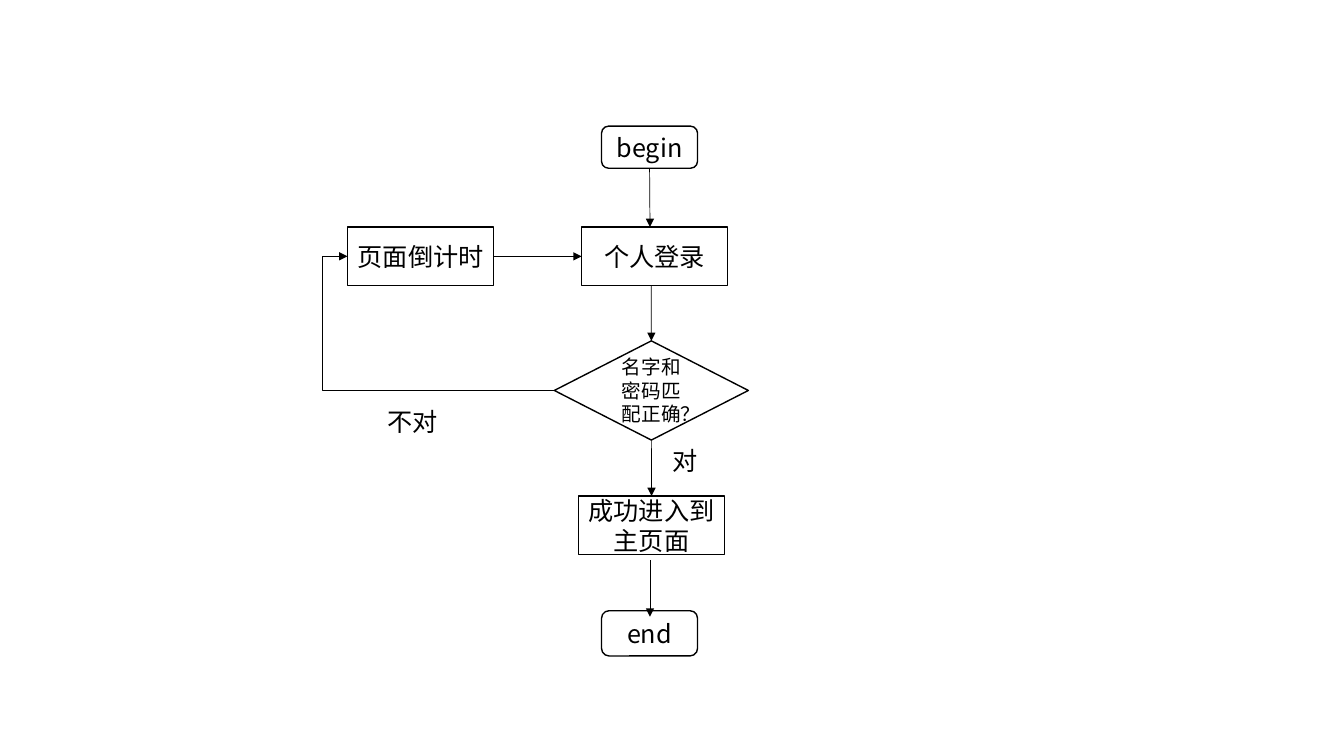
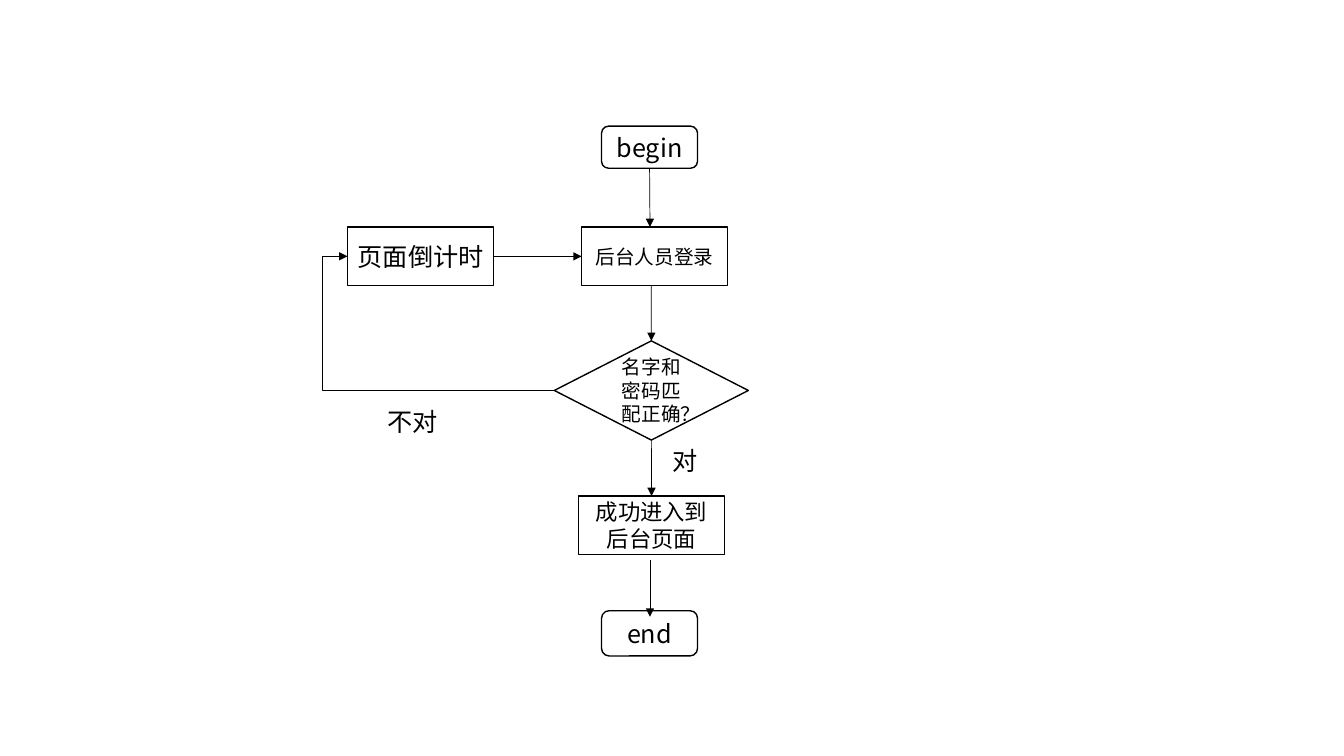
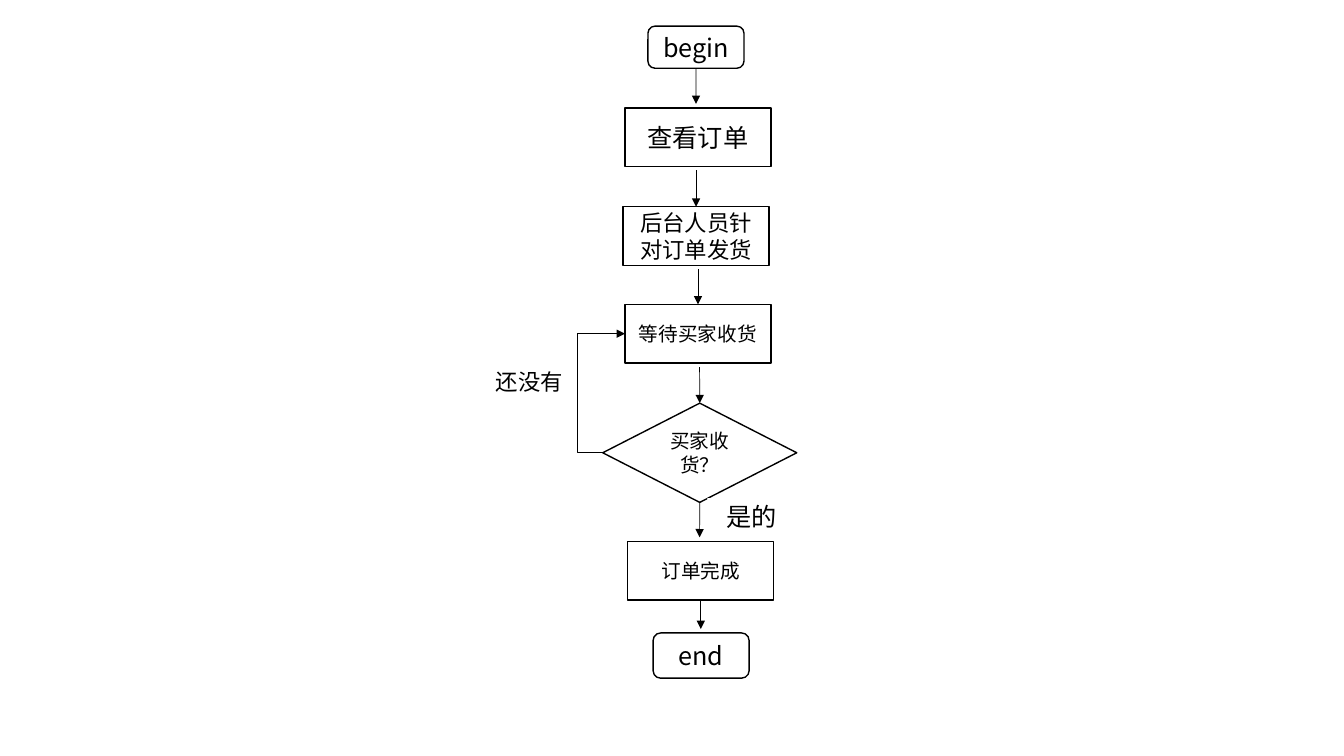
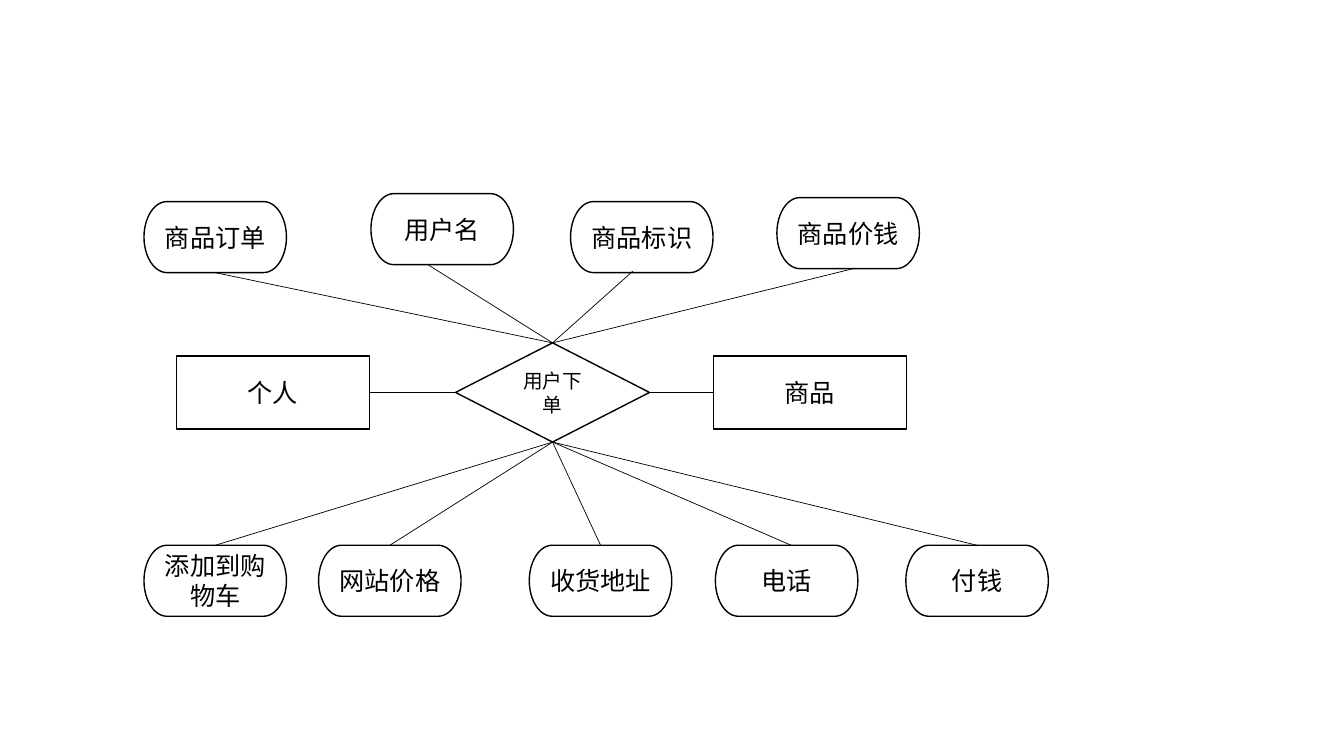
"""Build three flowcharts and one entity-relationship diagram of a web shop."""
from dataclasses import dataclass

from lxml import etree
from pptx import Presentation
from pptx.dml.color import RGBColor
from pptx.enum.shapes import MSO_CONNECTOR, MSO_SHAPE
from pptx.enum.text import MSO_ANCHOR, PP_ALIGN
from pptx.oxml.ns import qn
from pptx.util import Cm, Pt

CENTER, MIDDLE = PP_ALIGN.CENTER, MSO_ANCHOR.MIDDLE
STRAIGHT, ELBOW = MSO_CONNECTOR.STRAIGHT, MSO_CONNECTOR.ELBOW
RECTANGLE, ROUNDED = MSO_SHAPE.RECTANGLE, MSO_SHAPE.ROUNDED_RECTANGLE
DECISION, TERMINATOR = MSO_SHAPE.FLOWCHART_DECISION, MSO_SHAPE.FLOWCHART_TERMINATOR
TOP, LEFT, BOTTOM, RIGHT = range(4)


@dataclass(frozen=True)
class Theme:
    ink: RGBColor = RGBColor(0, 0, 0)
    paper: RGBColor = RGBColor(255, 255, 255)
    font: str = "Noto Sans CJK SC"
    large: int = 18
    medium: int = 16
    small: int = 14
    outline: float = 1
    link: float = 0.5


theme = Theme()
FRAME_FORMAT = {"word_wrap": True, "vertical_anchor": MIDDLE}
KINDS = {
    "begin": (ROUNDED, 2.42, 1.06),
    "end": (ROUNDED, 2.42, 1.14),
    "step": (RECTANGLE, 3.68, 1.48),
    "decision": (DECISION, 4.89, 2.5),
    "entity": (RECTANGLE, 4.86, 1.84),
    "attribute": (TERMINATOR, 3.59, 1.79),
    "label": (RECTANGLE, 2.24, 0.94),
    "short label": (RECTANGLE, 0.9, 0.56),
}


def add_node(slide, kind, text, left, top, size=theme.large):
    outline, width, height = KINDS[kind]
    node = slide.shapes.add_shape(outline, Cm(left), Cm(top), Cm(width), Cm(height))
    node.shadow.inherit = False
    node.fill.solid()
    node.fill.fore_color.rgb = theme.paper
    if "label" in kind:
        node.line.fill.background()
    else:
        node.line.color.rgb = theme.ink
        node.line.width = Pt(theme.outline)
    for name, value in FRAME_FORMAT.items():
        setattr(node.text_frame, name, value)
    paragraph = node.text_frame.paragraphs[0]
    paragraph.alignment = CENTER
    run = paragraph.add_run()
    run.text = text
    for name, value in {"name": theme.font, "size": Pt(size)}.items():
        setattr(run.font, name, value)
    run.font.color.rgb = theme.ink
    etree.SubElement(run.font._element, qn("a:ea"), typeface=theme.font)
    return node


def add_link(slide, nodes, start, end, arrow=True, bend=None):
    """Join two ends, each a (node name, side) pair or an (x, y) point."""
    free = [(0, 0) if isinstance(stop[0], str) else stop for stop in (start, end)]
    (x1, y1), (x2, y2) = free
    link = slide.shapes.add_connector(
        ELBOW if bend else STRAIGHT, Cm(x1), Cm(y1), Cm(x2), Cm(y2))
    for stop, join in ((start, link.begin_connect), (end, link.end_connect)):
        if isinstance(stop[0], str):
            join(nodes[stop[0]], stop[1])
    link.line.color.rgb = theme.ink
    link.line.width = Pt(theme.link)
    properties = link._element.spPr
    if arrow:
        etree.SubElement(properties.find(qn("a:ln")), qn("a:tailEnd"), type="triangle")
    if bend:
        guides = properties.find(qn("a:prstGeom")).find(qn("a:avLst"))
        etree.SubElement(guides, qn("a:gd"), name="adj1", fmla=f"val {bend}")
    etree.SubElement(properties, qn("a:effectLst"))


deck = Presentation()
deck.slide_width, deck.slide_height = Cm(33.87), Cm(19.05)
blank = deck.slide_layouts[6]

logins = [
    (("个人登录", theme.large), ("成功进入到主页面", theme.large)),
    (("后台人员登录", theme.small), ("成功进入到后台页面", theme.medium)),
]
flows = []
for (login, login_size), (success, success_size) in logins:
    flows.append((
        {
            "begin": ("begin", "begin", 15.16, 3.18),
            "login": ("step", login, 14.66, 5.72, login_size),
            "match": ("decision", "名字和密码匹配正确？", 13.97, 8.59, theme.small),
            "countdown": ("step", "页面倒计时", 8.76, 5.72),
            "success": ("step", success, 14.58, 12.5, success_size),
            "end": ("end", "end", 15.16, 15.39),
            "no": ("label", "不对", 9.27, 10.16),
            "yes": ("short label", "对", 16.69, 11.33),
        },
        [
            (("begin", BOTTOM), (16.38, 5.72)),
            ((16.41, 7.2), ("match", TOP)),
            (("match", BOTTOM), ("success", TOP)),
            ((16.38, 14.12), (16.38, 15.54)),
            (("match", LEFT), ("countdown", LEFT), True, 112200),
            (("countdown", RIGHT), ("login", LEFT)),
        ],
    ))

flows.append((
    {
        "begin": ("begin", "begin", 16.33, 0.66),
        "view": ("step", "查看订单", 15.75, 2.72),
        "ship": ("step", "后台人员针对订单发货", 15.7, 5.21, theme.medium),
        "wait": ("step", "等待买家收货", 15.75, 7.67, theme.small),
        "received": ("decision", "买家收货？", 15.19, 10.16, theme.small),
        "done": ("step", "订单完成", 15.82, 13.64, theme.small),
        "end": ("end", "end", 16.46, 15.95),
        "not yet": ("label", "还没有", 12.22, 9.14, theme.medium),
        "yes": ("label", "是的", 17.83, 12.55),
    },
    [
        (("begin", BOTTOM), (17.54, 2.62)),
        ((17.54, 4.29), ("ship", TOP)),
        ((17.59, 6.78), ("wait", TOP)),
        ((17.63, 9.25), ("received", TOP)),
        (("received", BOTTOM), (17.63, 13.54)),
        (("done", BOTTOM), (17.66, 15.85)),
        (("received", LEFT), ("wait", LEFT), True, -113400),
    ],
))

relations = {
    "person": ("entity", "个人", 4.45, 8.97),
    "order": ("decision", "用户下单", 11.48, 8.64, theme.small),
    "goods": ("entity", "商品", 17.98, 8.97),
}
relation_links = [
    (("person", RIGHT), ("order", LEFT), False),
    (("order", RIGHT), ("goods", LEFT), False),
]
upper_attributes = [
    ("商品订单", 3.63, 5.08, None),
    ("用户名", 9.35, 4.88, (10.8, 6.68)),
    ("商品标识", 14.38, 5.08, (15.95, 6.83)),
    ("商品价钱", 19.58, 4.98, (21.54, 6.76)),
]
lower_attributes = [
    ("添加到购物车", 3.63, 13.74, None),
    ("网站价格", 8.03, 13.74, None),
    ("收货地址", 13.34, 13.74, None),
    ("电话", 18.03, 13.74, (19.94, 13.74)),
    ("付钱", 22.83, 13.74, None),
]
for attributes, near, far in ((upper_attributes, TOP, BOTTOM), (lower_attributes, BOTTOM, TOP)):
    for attribute, left, top, point in attributes:
        relations[attribute] = ("attribute", attribute, left, top)
        relation_links.append((("order", near), point or (attribute, far), False))
flows.append((relations, relation_links))

for parts, links in flows:
    slide = deck.slides.add_slide(blank)
    nodes = {name: add_node(slide, *part) for name, part in parts.items()}
    for link in links:
        add_link(slide, nodes, *link)

deck.save("out.pptx")
